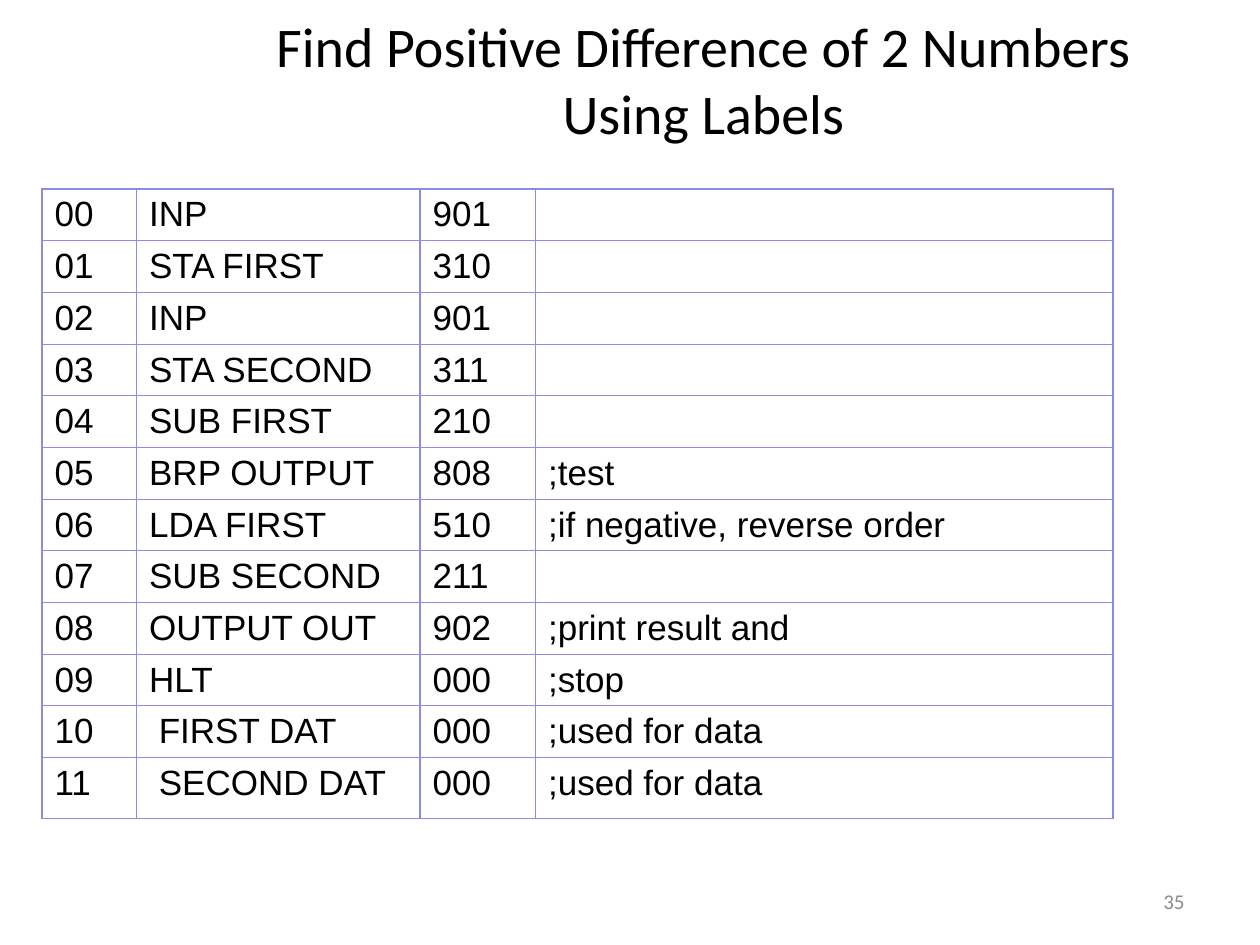
"""Build a slide listing an assembly program that uses labels."""
from lxml import etree
from pptx import Presentation
from pptx.dml.color import RGBColor
from pptx.enum.text import MSO_ANCHOR, PP_ALIGN
from pptx.oxml.ns import qn
from pptx.util import Pt

MIDDLE = MSO_ANCHOR.MIDDLE
CENTER, RIGHT = PP_ALIGN.CENTER, PP_ALIGN.RIGHT

TITLE = "Find Positive Difference of 2 Numbers\vUsing Labels"
PAGE_NUMBER = "35"
PROGRAM = [
    ("INP", "901", ""),
    ("STA FIRST", "310", ""),
    ("INP", "901", ""),
    ("STA SECOND", "311", ""),
    ("SUB FIRST", "210", ""),
    ("BRP OUTPUT", "808", ";test"),
    ("LDA FIRST", "510", ";if negative, reverse order"),
    ("SUB SECOND", "211", ""),
    ("OUTPUT OUT", "902", ";print result and"),
    ("HLT", "000", ";stop"),
    (" FIRST DAT", "000", ";used for data"),
    (" SECOND DAT", "000", ";used for data"),
]
COLUMN_WIDTHS = [54, 162, 66, 330]
ROW_HEIGHT, LAST_ROW_HEIGHT = 23.5, 34.8
BLACK, GRAY, WHITE, BORDER = "000000", "8C8C8C", "FFFFFF", "8C8CE2"


def color(value):
    return RGBColor.from_string(value)


def place(shape, left, top, width, height):
    shape.left, shape.top = Pt(left), Pt(top)
    shape.width, shape.height = Pt(width), Pt(height)


def format_text(text_frame, font_name, size, font_color, alignment=None):
    for paragraph in text_frame.paragraphs:
        paragraph.alignment = alignment
        for font in [paragraph.font] + [run.font for run in paragraph.runs]:
            font.name, font.size = font_name, Pt(size)
            font.color.rgb = color(font_color)


def format_cell(cell):
    properties = cell._tc.get_or_add_tcPr()
    for side in ("lnL", "lnR", "lnT", "lnB"):
        line = etree.SubElement(properties, qn(f"a:{side}"), w=str(Pt(0.75)))
        fill = etree.SubElement(line, qn("a:solidFill"))
        etree.SubElement(fill, qn("a:srgbClr"), val=BORDER)
    cell.fill.solid()
    cell.fill.fore_color.rgb = color(WHITE)
    format_text(cell.text_frame, "Arial", 20, BLACK)


def add_program_table(slide):
    frame = slide.shapes.add_table(
        len(PROGRAM), len(COLUMN_WIDTHS), Pt(24), Pt(108), Pt(612), Pt(378))
    table = frame.table
    table.first_row = table.horz_banding = False
    for column, width in zip(table.columns, COLUMN_WIDTHS):
        column.width = Pt(width)
    for address, (row, instruction) in enumerate(zip(table.rows, PROGRAM)):
        is_last = address == len(PROGRAM) - 1
        row.height = Pt(LAST_ROW_HEIGHT if is_last else ROW_HEIGHT)
        for cell, text in zip(row.cells, (f"{address:02d}", *instruction)):
            cell.text_frame.text = text
            format_cell(cell)
    frame.height = Pt(378)


def main():
    presentation = Presentation()
    presentation.slide_width, presentation.slide_height = Pt(720), Pt(540)
    slide = presentation.slides.add_slide(presentation.slide_layouts[5])

    title = slide.shapes.title
    place(title, 96, 0, 612, 90)
    title.text_frame.text = TITLE
    title.text_frame.vertical_anchor = MIDDLE
    format_text(title.text_frame, "Calibri", 32, BLACK, CENTER)

    add_program_table(slide)

    number = slide.shapes.add_textbox(Pt(516), Pt(500.5), Pt(168), Pt(28.75))
    number.text_frame.text = PAGE_NUMBER
    number.text_frame.word_wrap = True
    number.text_frame.vertical_anchor = MIDDLE
    format_text(number.text_frame, "Calibri", 12, GRAY, RIGHT)

    presentation.save("out.pptx")


if __name__ == "__main__":
    main()
